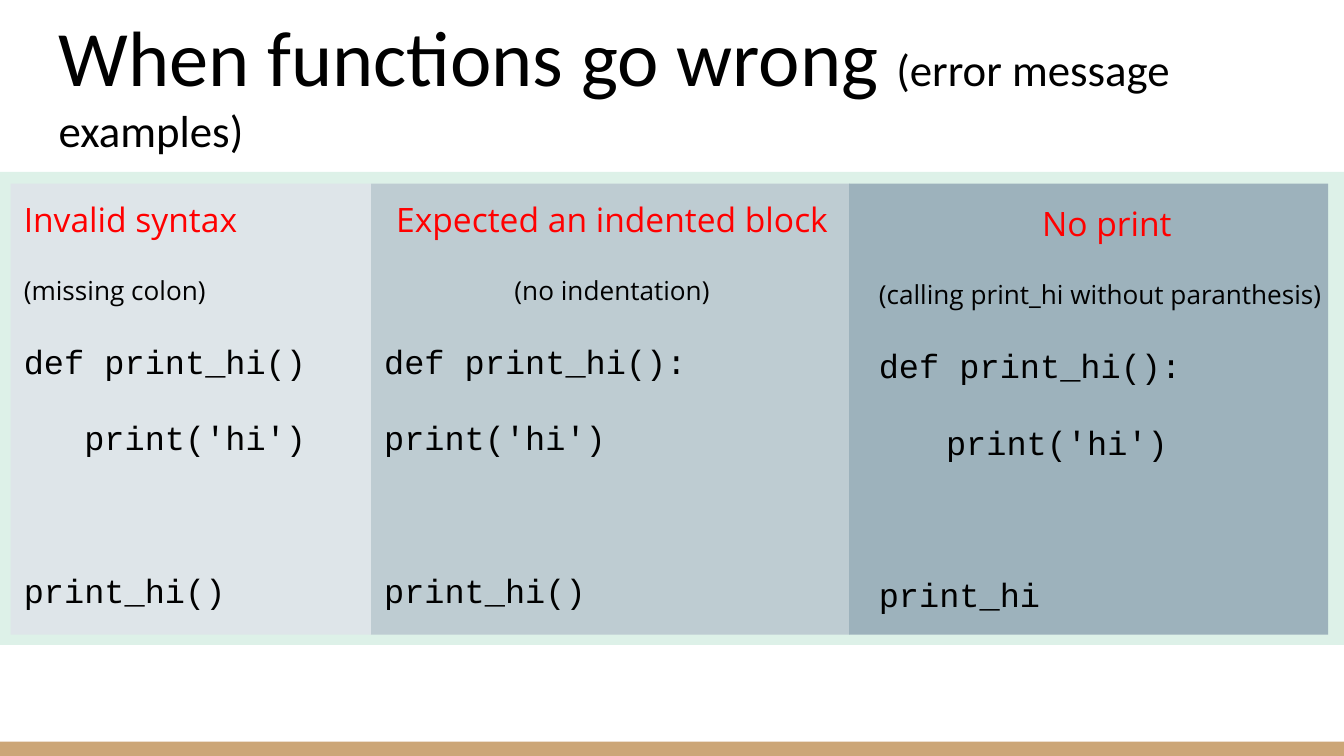
"""Build a slide comparing three common mistakes when defining and calling functions."""
from lxml.etree import SubElement
from pptx import Presentation
from pptx.dml.color import RGBColor
from pptx.enum.shapes import MSO_SHAPE
from pptx.enum.text import MSO_ANCHOR, MSO_AUTO_SIZE, PP_ALIGN
from pptx.oxml.ns import qn
from pptx.util import Cm, Pt


def color(value):
    return RGBColor.from_string(value)


def prepare_frame(shape, left, top, width, height):
    shape.left, shape.top, shape.width, shape.height = Cm(left), Cm(top), Cm(width), Cm(height)
    frame = shape.text_frame
    frame.word_wrap = True
    frame.auto_size = MSO_AUTO_SIZE.NONE
    frame.margin_left = frame.margin_right = frame.margin_top = frame.margin_bottom = Cm(0.25)
    return frame


presentation = Presentation()
presentation.slide_width, presentation.slide_height = Cm(25.4), Cm(14.29)
slide = presentation.slides.add_slide(presentation.slide_layouts[1])
title, body = slide.placeholders

panels = [
    (0, 14.02, 25.4, 0.27, "CCA677"),
    (0, 3.25, 25.4, 8.94, "DDF1E8"),
    (7.01, 3.47, 9.05, 8.53, "BECCD2"),
    (0.2, 3.47, 6.81, 8.53, "DEE5E9"),
    (16.05, 3.47, 9.05, 8.53, "9DB2BC"),
]
for left, top, width, height, fill in panels:
    panel = slide.shapes.add_shape(MSO_SHAPE.RECTANGLE, Cm(left), Cm(top), Cm(width), Cm(height))
    panel.shadow.inherit = False
    panel.fill.solid()
    panel.fill.fore_color.rgb = color(fill)
    panel.line.fill.background()

frame = prepare_frame(title, 0.86, 0.89, 23.67, 2.31)
frame.vertical_anchor = MSO_ANCHOR.BOTTOM
paragraph = frame.paragraphs[0]
paragraph.alignment = PP_ALIGN.LEFT
for text, size in [("When functions go wrong ", 42), ("(error message examples)", 24)]:
    run = paragraph.add_run()
    run.text = text
    run.font.name, run.font.size = "Calibri", Pt(size)
    run.font.color.rgb = color("000000")

LEFT, CENTER = PP_ALIGN.LEFT, PP_ALIGN.CENTER
styles = [("Open Sans", 18, "FF0000"), ("Open Sans", 14, "000000")] + [("Courier New", 18, "000000")] * 3
examples = [
    (body, 0.2, 3.4, LEFT, LEFT,
     ["Invalid syntax", "(missing colon)", "def print_hi()", "   print('hi')", "print_hi()"]),
    (None, 16.36, 3.48, CENTER, LEFT,
     ["No print", "(calling print_hi without paranthesis)", "def print_hi():", "\tprint('hi')", "print_hi"]),
    (None, 7.01, 3.4, CENTER, CENTER,
     ["Expected an indented block", "(no indentation)", "def print_hi():", "print('hi')", "print_hi()"]),
]
for box, left, top, heading_align, note_align, lines in examples:
    if box is None:
        box = slide.shapes.add_textbox(0, 0, 0, 0)
    else:
        box.element.getparent().append(box.element)
    frame = prepare_frame(box, left, top, 9.12, 9.32)
    alignments = [heading_align, note_align, LEFT, LEFT, LEFT]
    for index, (text, alignment, (font, size, ink)) in enumerate(zip(lines, alignments, styles)):
        paragraph = frame.add_paragraph() if index else frame.paragraphs[0]
        paragraph.add_run().text = text
        paragraph.alignment = alignment
        paragraph.line_spacing = 1.15
        paragraph.space_before = Pt(41 if index == len(lines) - 1 else 0)
        paragraph.space_after = Pt(16)
        properties = paragraph._p.get_or_add_pPr()
        properties.set("marL", "0")
        properties.set("indent", "0")
        SubElement(properties, qn("a:buNone"))
        if text.startswith("\t"):
            tabs = SubElement(properties, qn("a:tabLst"))
            SubElement(tabs, qn("a:tab"), pos=str(Cm(2.54)), algn="l")
        paragraph.font.name, paragraph.font.size = font, Pt(size)
        paragraph.font.color.rgb = color(ink)

presentation.save("out.pptx")
